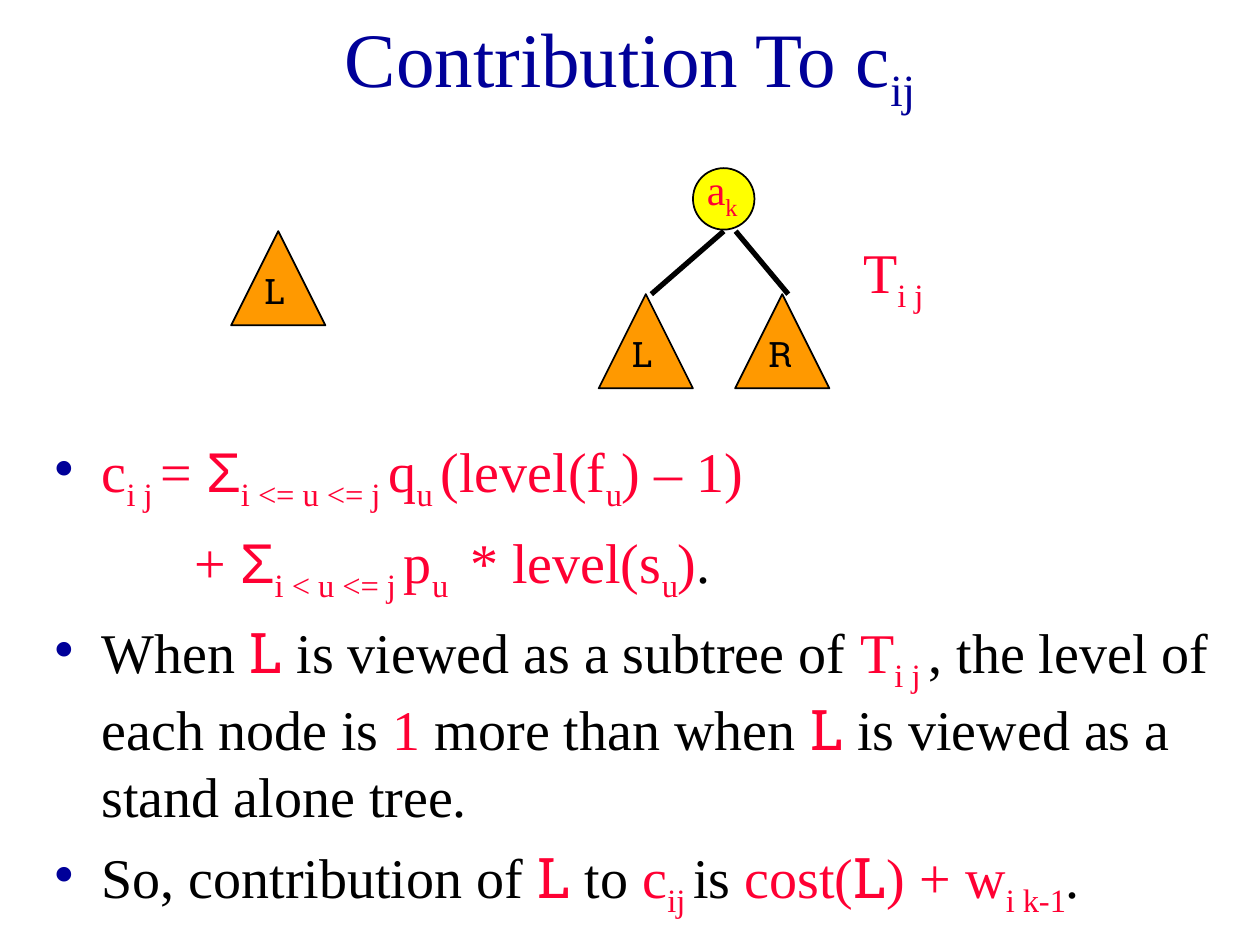
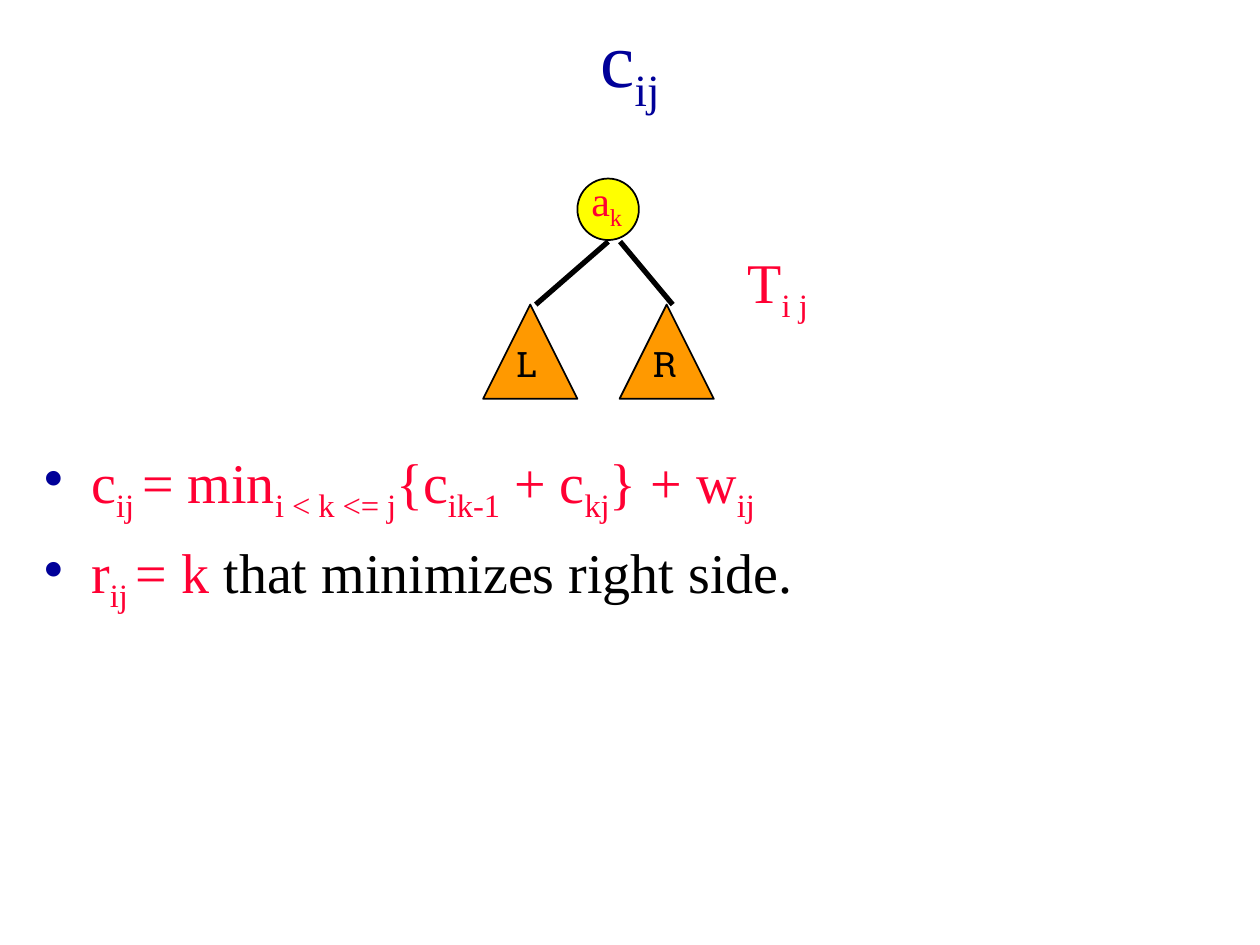
import dataclasses
import functools
from typing import Any

import lxml.etree
import pptx
import pptx.dml.color
import pptx.enum.shapes
import pptx.enum.text
import pptx.oxml.ns
import pptx.util

Cm = pptx.util.Cm
Pt = pptx.util.Pt
RGB = pptx.dml.color.RGBColor
SHAPE = pptx.enum.shapes.MSO_SHAPE
qn = pptx.oxml.ns.qn

NAVY = RGB(0x00, 0x00, 0x99)
RED = RGB(0xFF, 0x00, 0x33)
BLACK = RGB(0x00, 0x00, 0x00)
ORANGE = RGB(0xFF, 0x99, 0x00)
YELLOW = RGB(0xFF, 0xFF, 0x00)

SERIF = "Times New Roman"
SLAB = "Roboto Slab"
SANS = "Arial"

HANG = 0.95
CIRCLE = 1.24
TRIANGLE = 1.9
LEVEL = 2.54
SPREAD = 2.75


@dataclasses.dataclass(frozen=True)
class Run:
    text: str
    color: RGB = RED
    name: str = SERIF
    sub: bool = False


@dataclasses.dataclass(frozen=True)
class Para:
    runs: tuple[Run, ...]
    bullet: bool = True
    indent: float = HANG


@dataclasses.dataclass(frozen=True)
class Box:
    left: float
    top: float
    width: float
    height: float

    def lengths(self) -> list[int]:
        return [Cm(v) for v in (self.left, self.top, self.width, self.height)]


sub = functools.partial(Run, sub=True)
plain = functools.partial(Run, color=BLACK)
slab = functools.partial(Run, name=SLAB)
sigma = Run("Σ", name=SANS)


def set_all(obj: Any, values: dict[str, Any]) -> None:
    for key, value in values.items():
        setattr(obj, key, value)


def add_runs(p: Any, runs: tuple[Run, ...], size: float) -> None:
    for run in runs:
        r = p.add_run()
        r.text = run.text
        set_all(r.font, {"name": run.name, "size": Pt(size)})
        r.font.color.rgb = run.color
        if run.sub:
            r.font._element.set("baseline", "-25000")


def add_text(shapes: Any, box: Box, runs: tuple[Run, ...], size: float,
             wrap: bool = True) -> Any:
    tf = shapes.add_textbox(*box.lengths()).text_frame
    tf.word_wrap = wrap
    add_runs(tf.paragraphs[0], runs, size)
    return tf


def add_bullet(p: Any, para: Para) -> None:
    pPr = p._p.get_or_add_pPr()
    pPr.set("marL", str(Cm(para.indent)))
    if para.bullet:
        pPr.set("indent", str(-Cm(para.indent)))
        color = lxml.etree.SubElement(pPr, qn("a:buClr"))
        lxml.etree.SubElement(color, qn("a:srgbClr"), val=str(NAVY))
        lxml.etree.SubElement(pPr, qn("a:buChar"), char="•")


def add_body(s: Any, box: Box, paras: list[Para]) -> None:
    tf = add_text(s.shapes, box, paras[0].runs, 32)
    add_bullet(tf.paragraphs[0], paras[0])
    for para in paras[1:]:
        p = tf.add_paragraph()
        add_bullet(p, para)
        p.space_before = Pt(8)
        add_runs(p, para.runs, 32)


def add_figure(shapes: Any, kind: Any, box: Box, fill: RGB) -> None:
    sp = shapes.add_shape(kind, *box.lengths())
    sp.shadow.inherit = False
    sp.fill.solid()
    sp.fill.fore_color.rgb = fill
    sp.line.color.rgb = BLACK
    sp.line.width = Pt(1)


def add_branch(shapes: Any, *ends: float) -> None:
    line = shapes.add_connector(pptx.enum.shapes.MSO_CONNECTOR.STRAIGHT,
                                *[Cm(v) for v in ends])
    line.line.color.rgb = BLACK
    line.line.width = Pt(3)
    lxml.etree.SubElement(line._element.spPr, qn("a:effectLst"))


def add_subtree(shapes: Any, left: float, top: float, label: str) -> None:
    add_figure(shapes, SHAPE.ISOSCELES_TRIANGLE,
               Box(left, top, TRIANGLE, TRIANGLE), ORANGE)
    add_text(shapes, Box(left + 0.42, top + 0.64, 2.34, 1.12),
             (plain(label, name=SLAB),), 20)


def add_tree(s: Any, left: float, top: float) -> None:
    shapes = s.shapes.add_group_shape().shapes
    add_figure(shapes, SHAPE.OVAL, Box(left + 1.9, top, CIRCLE, CIRCLE), YELLOW)
    add_text(shapes, Box(left + 1.93, top - 0.21, 1.14, 1.42),
             (Run("a"), sub("k")), 24, wrap=False)
    for start, end in ((2.52, 1.06), (2.76, 3.82)):
        add_branch(shapes, left + start, top + 1.27, left + end, top + LEVEL)
    for i, label in enumerate("LR"):
        add_subtree(shapes, left + i * SPREAD, top + LEVEL, label)
    add_text(shapes, Box(left + 5.08, top + 1.27, 2.34, 1.8),
             (Run("T"), sub("i j")), 32)


def add_slide(prs: Any, title: str) -> Any:
    s = prs.slides.add_slide(prs.slide_layouts[5])
    sp = s.shapes.title
    set_all(sp, dict(zip(("left", "top", "width", "height"),
                         Box(1.9, 0, 21.6, 2.54).lengths())))
    tf = sp.text_frame
    set_all(tf, {"word_wrap": True,
                 "auto_size": pptx.enum.text.MSO_AUTO_SIZE.NONE,
                 "vertical_anchor": pptx.enum.text.MSO_ANCHOR.MIDDLE})
    p = tf.paragraphs[0]
    p.alignment = pptx.enum.text.PP_ALIGN.CENTER
    add_runs(p, (Run(title, NAVY), sub("ij", NAVY)), 44)
    return s


def contribution_slide(prs: Any) -> None:
    s = add_slide(prs, "Contribution To c")
    add_body(s, Box(0.85, 8.68, 23.92, 10.37), [
        Para((Run("c"), sub("i j "), Run("= "), sigma, sub("i <= u <= j "),
              Run("q"), sub("u "), Run("(level(f"), sub("u"), Run(") – 1)"))),
        Para((Run("+ "), sigma, sub("i < u <= j "), Run("p"), sub("u "),
              Run(" * level(s"), sub("u"), Run(")"), plain(".")),
             bullet=False, indent=2.82),
        Para((plain("When "), slab("L "), plain("is viewed as a subtree of "),
              Run("T"), sub("i j "), plain(", the level of each node is "),
              Run("1"), plain(" more than when "), slab("L "),
              plain("is viewed as a stand alone tree."))),
        Para((plain("So, contribution of "), slab("L"), plain(" to "),
              Run("c"), sub("ij "), plain("is "), Run("cost("), slab("L"),
              Run(") + w"), sub("i k-1"), plain("."))),
    ])
    add_subtree(s.shapes.add_group_shape().shapes, 4.66, 4.66, "L")
    add_tree(s, 12.07, 3.39)


def recurrence_slide(prs: Any) -> None:
    s = add_slide(prs, "c")
    add_body(s, Box(0.64, 8.89, 23.92, 9.53), [
        Para((Run("c"), sub("ij "), Run("= min"), sub("i < k <= j"), Run("{c"),
              sub("ik-1"), Run(" + c"), sub("kj"), Run("} + w"), sub("ij"))),
        Para((Run("r"), sub("ij "), Run("= k "),
              plain("that minimizes right side."))),
    ])
    add_tree(s, 9.74, 3.6)


def main() -> None:
    prs = pptx.Presentation()
    set_all(prs, {"slide_width": Cm(25.4), "slide_height": Cm(19.05)})
    contribution_slide(prs)
    recurrence_slide(prs)
    prs.save("out.pptx")


if __name__ == "__main__":
    main()
